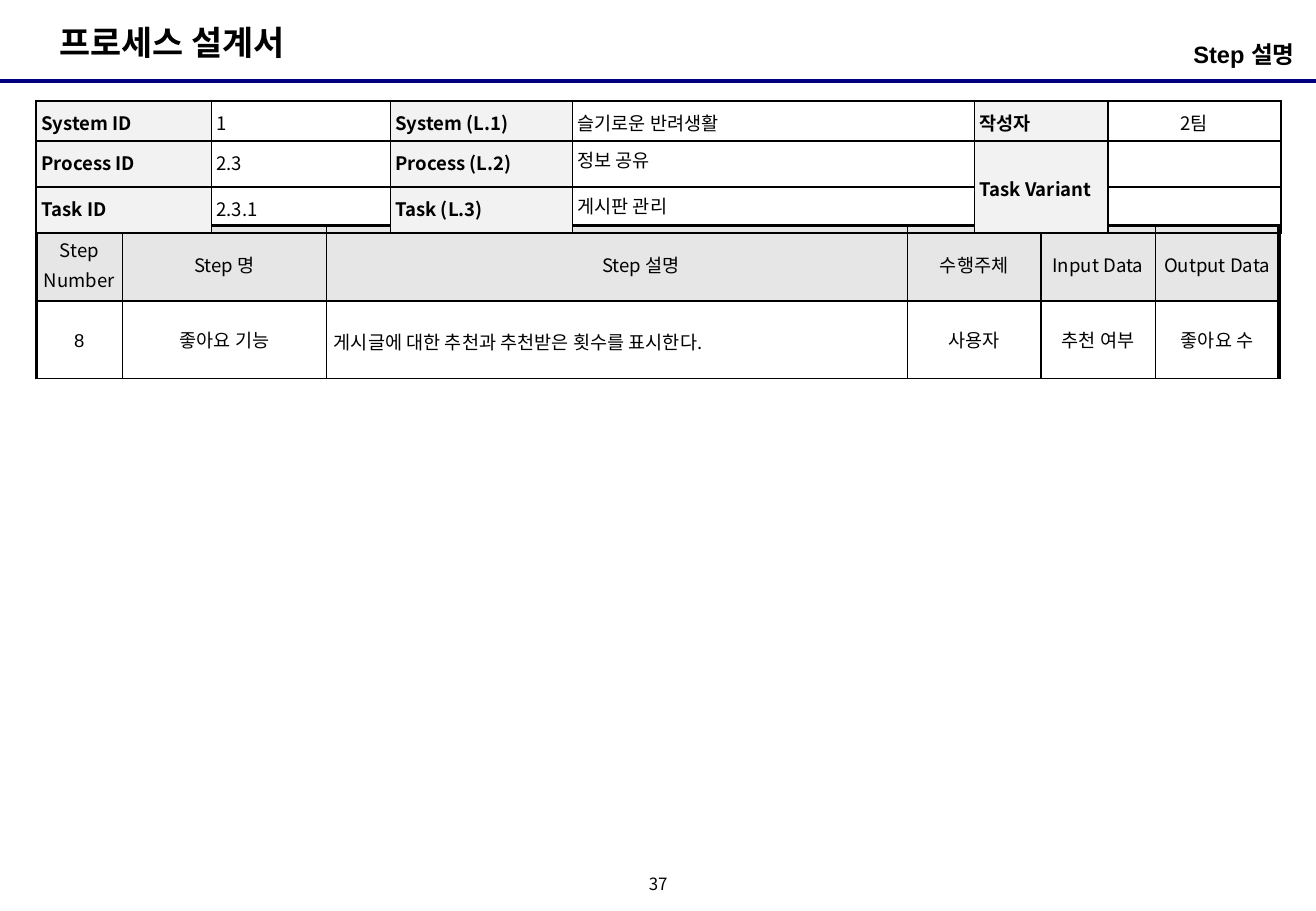
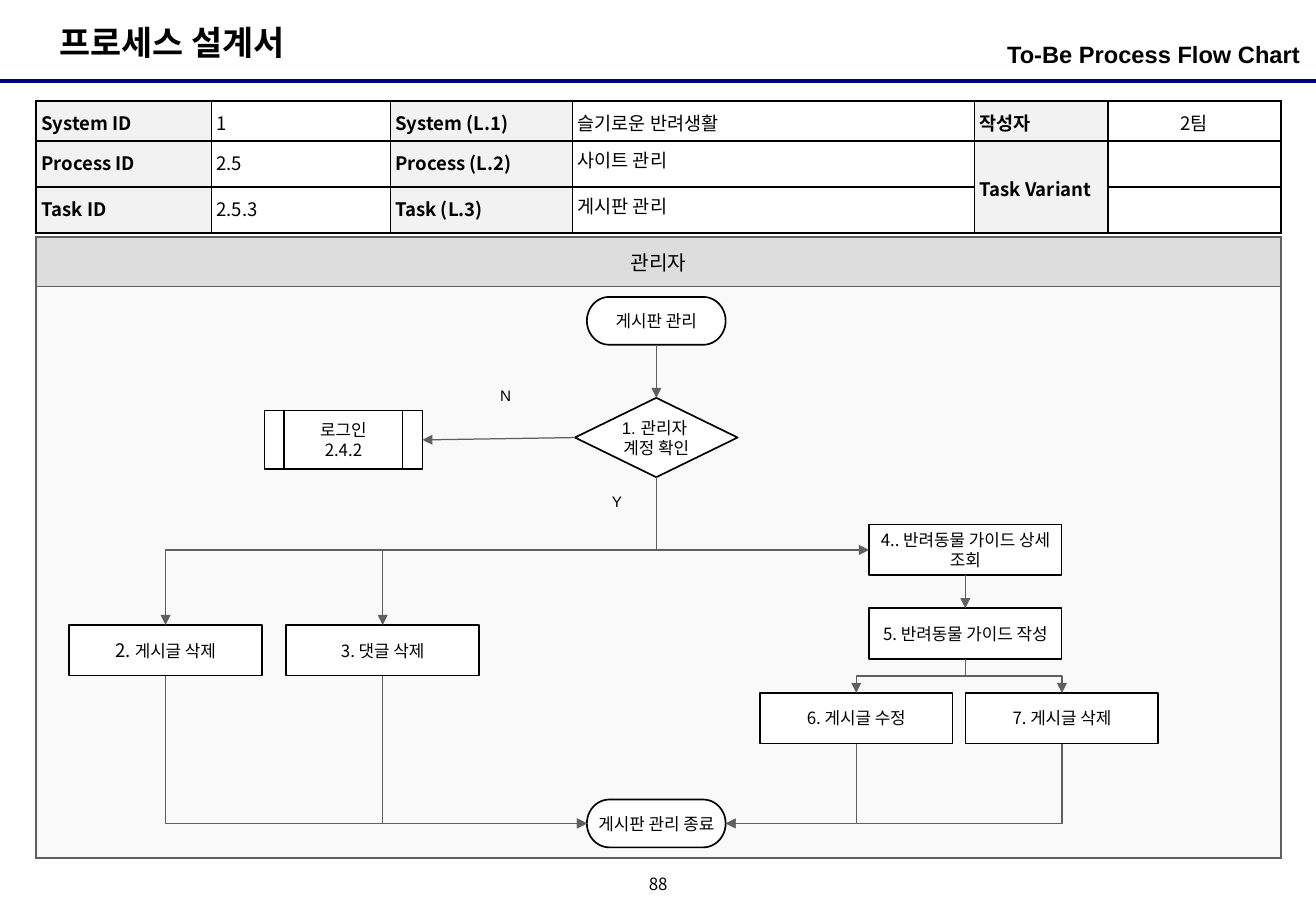
from lxml import etree
from pptx import Presentation
from pptx.dml import color
from pptx.enum import shapes, text
from pptx.oxml import ns
from pptx.util import Cm, Pt

rgb = color.RGBColor.from_string
qn = ns.qn
BLACK, WHITE, GRAY, NAVY = "000000", "FFFFFF", "5F5F5F", "000080"
ARIAL, NOTO = "Arial", "Noto Sans CJK KR"
LEFT, CENTER, RIGHT = text.PP_ALIGN.LEFT, text.PP_ALIGN.CENTER, text.PP_ALIGN.RIGHT
TOP, MIDDLE = text.MSO_ANCHOR.TOP, text.MSO_ANCHOR.MIDDLE
TABLE_X = 0.76


def write(p, words, size, font=NOTO, bold=False, align=CENTER, spacing=None):
    """Add one formatted run to paragraph p."""
    p.alignment = align
    if spacing:
        p.line_spacing = spacing
    r = p.add_run()
    r.text = words
    for name, value in {"size": Pt(size), "name": font, "bold": bold}.items():
        setattr(r.font, name, value)
    r.font.color.rgb = rgb(BLACK)
    ea = etree.SubElement(r._r.get_or_add_rPr(), qn("a:ea"))
    ea.set("typeface", NOTO)


def add_grid(s, y, cols, rows, inner, outer, line, margins):
    """Add a ruled table without fills; outer gives the L, R, T, B edge widths."""
    tbl = s.shapes.add_table(len(rows), len(cols), Cm(TABLE_X), Cm(y),
                             Cm(sum(cols)), Cm(sum(rows))).table
    tbl.first_row = tbl.horz_banding = False
    for col, width in zip(tbl.columns, cols):
        col.width = Cm(width)
    for row, height in zip(tbl.rows, rows):
        row.height = Cm(height)
    if len(rows) == 3:
        tbl.cell(1, 4).merge(tbl.cell(2, 4))
    for i in range(len(rows)):
        for j in range(len(cols)):
            cell = tbl.cell(i, j)
            if cell.is_spanned:
                continue
            last = i + (cell.span_height if cell.is_merge_origin else 1) == len(rows)
            at_edge = {"L": j == 0, "R": j == len(cols) - 1, "T": i == 0, "B": last}
            for side, on_edge in at_edge.items():
                ln = etree.SubElement(cell._tc.get_or_add_tcPr(), qn("a:ln" + side))
                ln.set("w", str(Pt(outer[side] if on_edge else inner)))
                fill = etree.SubElement(ln, qn("a:solidFill"))
                etree.SubElement(fill, qn("a:srgbClr")).set("val", line)
            cell.fill.background()
            cell.margin_left = cell.margin_right = Cm(margins[0])
            cell.margin_top = cell.margin_bottom = Cm(margins[1])
    return tbl


prs = Presentation()
prs.slide_width, prs.slide_height = Cm(27.51), Cm(19.05)

pages = [
    {"topic": "Step 설명 ", "number": "37", "ids": ("2.3", "2.3.1"), "process": "정보 공유"},
    {"topic": "To-Be Process Flow Chart", "number": "88", "ids": ("2.5", "2.5.3"),
     "process": "사이트 관리"},
]
steps = [
    ["Step Number", "Step 명", "Step 설명", "수행주체", "Input Data", "Output Data"],
    ["8", "좋아요 기능", "게시글에 대한 추천과 추천받은 횟수를 표시한다.", "사용자",
     "추천 여부", "좋아요 수"],
]

for page in pages:
    s = prs.slides.add_slide(prs.slide_layouts[6])

    # Heading band, topic and page number
    rule = s.shapes.add_connector(shapes.MSO_CONNECTOR.STRAIGHT,
                                  0, Cm(1.7), prs.slide_width, Cm(1.7))
    rule.line.color.rgb = rgb(NAVY)
    rule.line.width = Pt(2.25)
    etree.SubElement(rule._element.spPr, qn("a:effectLst"))
    frame_texts = [
        ((0.99, 0.33, 5.74, 1.12), (0.25, 0.13), TOP, "프로세스 설계서",
         {"size": 20, "font": ARIAL, "bold": True, "align": LEFT}),
        ((18.77, 0.71, 8.41, 0.99), (0, 0.13), TOP, page["topic"],
         {"size": 14, "font": ARIAL, "bold": True, "align": RIGHT}),
        ((13.34, 18.21, 0.84, 0.64), (0, 0), MIDDLE, page["number"],
         {"size": 10, "spacing": 0.8}),
    ]
    for box, (side, edge), anchor, words, style in frame_texts:
        tf = s.shapes.add_textbox(*map(Cm, box)).text_frame
        for name, value in {"margin_left": Cm(side), "margin_right": Cm(side),
                            "margin_top": Cm(edge), "margin_bottom": Cm(edge),
                            "vertical_anchor": anchor, "word_wrap": True}.items():
            setattr(tf, name, value)
        write(tf.paragraphs[0], words, **style)

    # Body table lies behind the ID table
    if page is pages[0]:
        tbl = add_grid(s, 4.72, [1.8, 4.27, 12.14, 2.79, 2.39, 2.59], [1.57, 1.63], 1,
                       {"L": 2.25, "R": 2.25, "T": 2.25, "B": 1}, BLACK, (0.15, 0.1))
        for i, row in enumerate(steps):
            for j, words in enumerate(row):
                cell = tbl.cell(i, j)
                cell.vertical_anchor = MIDDLE
                write(cell.text_frame.paragraphs[0], words, 11,
                      font=ARIAL if words == "8" else NOTO,
                      align=LEFT if (i, j) == (1, 2) else CENTER,
                      spacing=1.1 if i == 0 or j in (0, 2) else None)
                if i == 0:
                    cell.fill.solid()
                    cell.fill.fore_color.rgb = rgb("E6E6E6")
        description = tbl.cell(0, 2).text_frame.paragraphs[0]
        description._p.get_or_add_pPr().set("marL", str(Cm(1)))
    else:
        tbl = add_grid(s, 4.95, [26.01], [1.04, 11.96], 0.75,
                       dict.fromkeys("LRTB", 1.5), GRAY, (0.25, 0.13))
        for i, fill in enumerate(["DDDDDD", "F9F9F9"]):
            tbl.cell(i, 0).fill.solid()
            tbl.cell(i, 0).fill.fore_color.rgb = rgb(fill)
        tbl.cell(0, 0).vertical_anchor = MIDDLE
        write(tbl.cell(0, 0).text_frame.paragraphs[0], "관리자", 12, font=ARIAL)

    # ID table
    process_id, task_id = page["ids"]
    ids = [
        ["System ID", "1", "System (L.1)", "슬기로운 반려생활", "작성자", "2팀"],
        ["Process ID", process_id, "Process (L.2)", page["process"], "Task Variant", ""],
        ["Task ID", task_id, "Task (L.3)", "게시판 관리", "", ""],
    ]
    tbl = add_grid(s, 2.12, [3.66, 3.74, 3.81, 8.4, 2.79, 3.61], [0.83, 0.92, 0.92], 1,
                   dict.fromkeys("LRTB", 1.5), BLACK, (0.1, 0.1))
    for i, row in enumerate(ids):
        for j, words in enumerate(row):
            cell = tbl.cell(i, j)
            is_label = j % 2 == 0
            if is_label and not cell.is_spanned:
                cell.fill.solid()
                cell.fill.fore_color.rgb = rgb("F2F2F2")
            cell.vertical_anchor = MIDDLE if j > 3 else TOP
            if words:
                write(cell.text_frame.paragraphs[0], words, 11, bold=is_label,
                      align=CENTER if j == 5 else LEFT,
                      spacing=None if j == 3 and i > 0 else 1.1)

# Flow chart on the last slide: every node is given by its centre
SHAPE = shapes.MSO_SHAPE
kinds = {
    "terminal": (SHAPE.FLOWCHART_TERMINATOR, 2.9, 1),
    "decision": (SHAPE.FLOWCHART_DECISION, 3.4, 1.66),
    "subprocess": (SHAPE.FLOWCHART_PREDEFINED_PROCESS, 3.3, 1.23),
    "step": (SHAPE.RECTANGLE, 4.03, 1.06),
}
AXIS, BRANCH_Y, DELETE_Y, EDIT_Y = 13.72, 11.5, 13.6, 15.02
nodes = {
    "start": ("terminal", AXIS, 6.71, ["게시판 관리"]),
    "login": ("subprocess", 7.18, 9.2, ["로그인", "2.4.2"]),
    "check": ("decision", AXIS, 9.15, ["1. 관리자 ", "계정 확인"]),
    "delete post": ("step", 3.46, DELETE_Y, ["2. "]),
    "delete comment": ("step", 8, DELETE_Y, ["3. 댓글 삭제"]),
    "view guide": ("step", 20.18, BRANCH_Y, ["4.. 반려동물 가이드 상세 조회"]),
    "write guide": ("step", 20.18, 13.25, ["5. 반려동물 가이드 작성"]),
    "edit guide": ("step", 17.9, EDIT_Y, ["6. 게시글 수정"]),
    "delete guide": ("step", 22.2, EDIT_Y, ["7. 게시글 삭제"]),
    "end": ("terminal", AXIS, 17.22, ["게시판 관리 종료"]),
}
placed = {}
for key, (kind, x, y, lines) in nodes.items():
    preset, w, h = kinds[kind]
    sp = s.shapes.add_shape(preset, Cm(x - w / 2), Cm(y - h / 2), Cm(w), Cm(h))
    sp.shadow.inherit = False
    sp.fill.solid()
    sp.fill.fore_color.rgb = rgb(WHITE)
    sp.line.color.rgb = rgb(BLACK)
    sp.line.width = Pt(1)
    tf = sp.text_frame
    for name, value in {"margin_left": Cm(0.05), "margin_right": Cm(0.05),
                        "margin_top": 0, "margin_bottom": 0,
                        "vertical_anchor": MIDDLE, "word_wrap": True}.items():
        setattr(tf, name, value)
    for i, line in enumerate(lines):
        p = tf.add_paragraph() if i else tf.paragraphs[0]
        write(p, line, 11 if key == "delete post" else 10,
              font=ARIAL if kind == "decision" else NOTO)
    placed[key] = sp
write(placed["delete post"].text_frame.paragraphs[0], "게시글 삭제", 10)

for words, x, y in [("N", 10.57, 8.27), ("Y", 12.9, 10.48)]:
    tf = s.shapes.add_textbox(Cm(x - 0.4), Cm(y - 0.32), Cm(0.8), Cm(0.64)).text_frame
    tf.margin_left = tf.margin_right = 0
    tf.vertical_anchor = MIDDLE
    tf.word_wrap = True
    write(tf.paragraphs[0], words, 9, font=ARIAL)

# Connection sites: 0 top, 1 left, 2 bottom, 3 right
links = [
    ("start", 2, "check", 0),
    ("check", 1, "login", 3),
    ("check", 2, "delete post", 0),
    ("check", 2, "delete comment", 0),
    ("check", 2, "view guide", 1),
    ("view guide", 2, "write guide", 0),
    ("write guide", 2, "edit guide", 0),
    ("write guide", 2, "delete guide", 0),
    ("delete post", 2, "end", 1),
    ("delete comment", 2, "end", 1),
    ("edit guide", 2, "end", 3),
    ("delete guide", 2, "end", 3),
]
for source, out_site, target, in_site in links:
    bent = out_site == 2 and nodes[source][1] != nodes[target][1]
    kind = shapes.MSO_CONNECTOR.ELBOW if bent else shapes.MSO_CONNECTOR.STRAIGHT
    cxn = s.shapes.add_connector(kind, 0, 0, 0, 0)
    cxn.begin_connect(placed[source], out_site)
    cxn.end_connect(placed[target], in_site)
    cxn.line.color.rgb = rgb(GRAY)
    cxn.line.width = Pt(0.75)
    etree.SubElement(cxn.line._get_or_add_ln(), qn("a:tailEnd")).set("type", "triangle")
    pr = cxn._element.spPr
    etree.SubElement(pr, qn("a:effectLst"))
    if not bent:
        continue
    # A quarter turn makes the elbow leave downwards
    x1, y1, x2, y2 = cxn.begin_x, cxn.begin_y, cxn.end_x, cxn.end_y
    across, down = abs(x2 - x1), y2 - y1
    cxn.left, cxn.top = (x1 + x2 - down) // 2, (y1 + y2 - across) // 2
    cxn.width, cxn.height = down, across
    xfrm = pr.find(qn("a:xfrm"))
    for name, value in {"rot": 5400000, "flipH": 0, "flipV": int(x2 > x1)}.items():
        xfrm.set(name, str(value))
    geom = pr.find(qn("a:prstGeom"))
    if in_site != 0:
        geom.set("prst", "bentConnector2")
    elif source == "check":
        share = round((Cm(BRANCH_Y) - y1) / down * 100000)
        gd = etree.SubElement(geom.find(qn("a:avLst")), qn("a:gd"))
        gd.set("name", "adj1")
        gd.set("fmla", f"val {share}")

prs.save("out.pptx")
